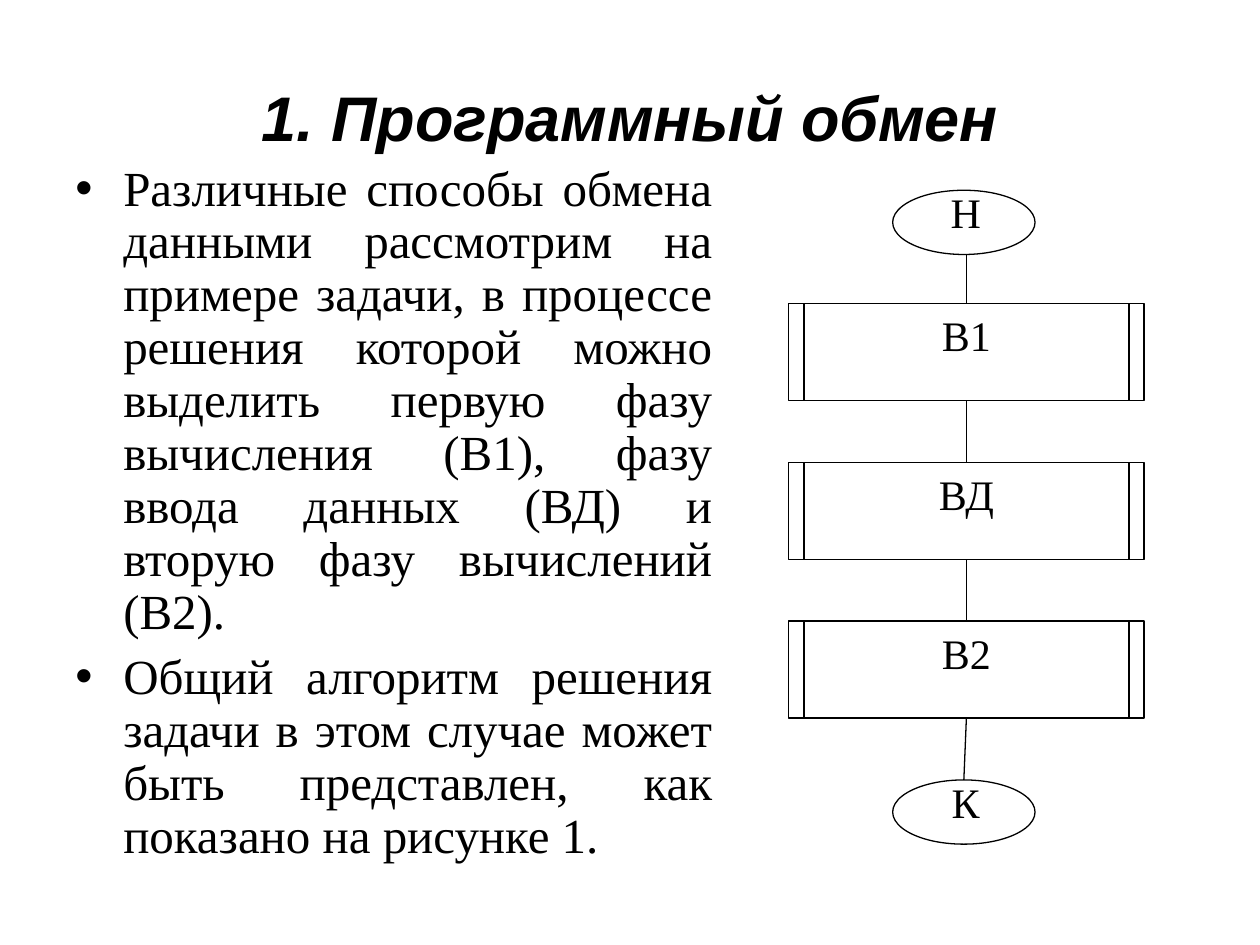
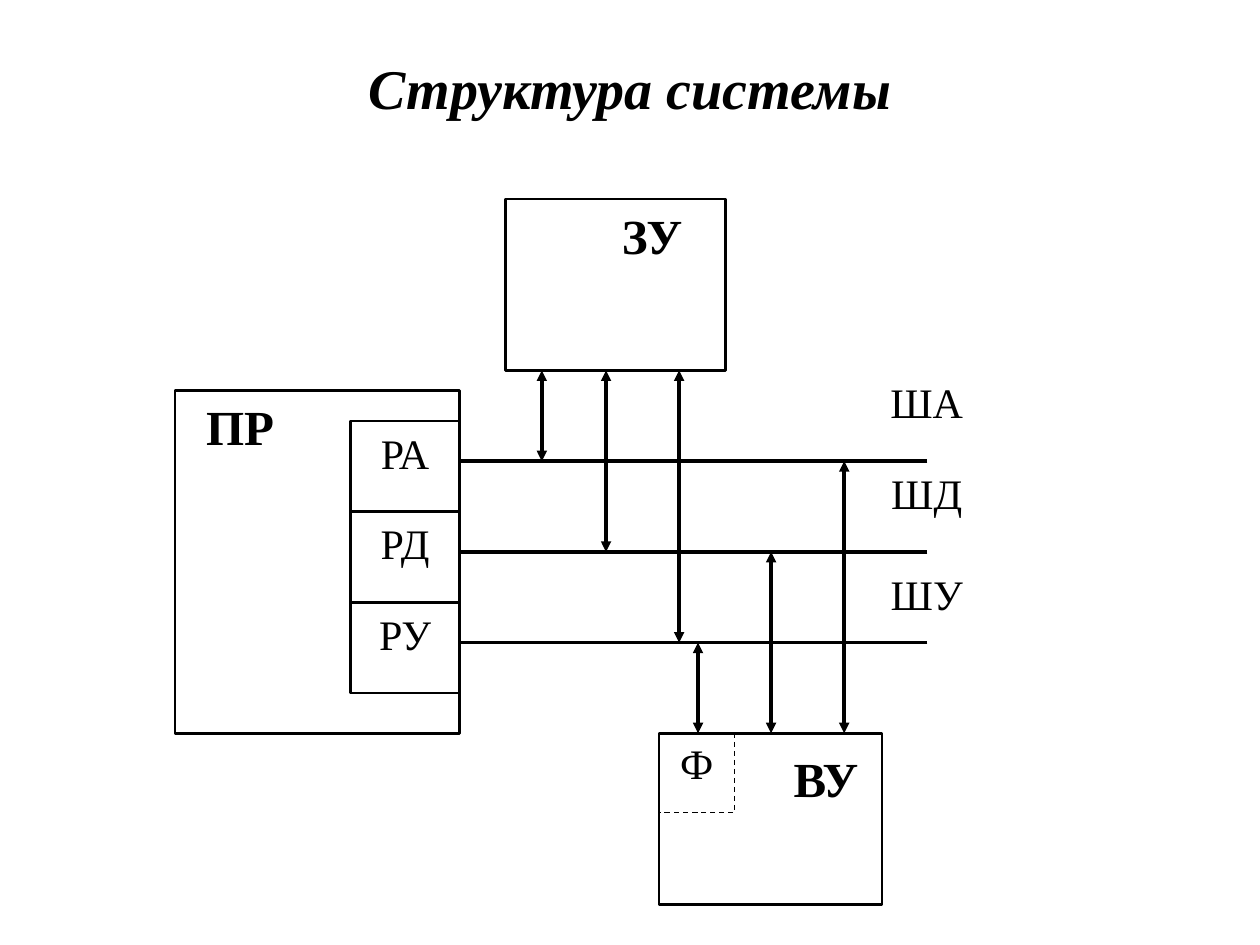
from dataclasses import dataclass
from lxml.etree import SubElement
from pptx import Presentation
from pptx.dml.color import RGBColor
from pptx.enum.dml import MSO_LINE_DASH_STYLE as Dash
from pptx.enum.shapes import MSO_CONNECTOR as Link, MSO_SHAPE as Shape
from pptx.enum.text import MSO_ANCHOR as Anchor, PP_ALIGN as Align
from pptx.oxml.ns import qn
from pptx.util import Inches, Pt


@dataclass(frozen=True)
class Theme:
    ink: RGBColor = RGBColor(0, 0, 0)
    paper: RGBColor = RGBColor(255, 255, 255)
    serif: str = "Times New Roman"
    sans: str = "Arial"
    title: int = 36
    subtitle: int = 32
    body: int = 28
    label: int = 24
    thin: float = 0.75
    frame: float = 1.5
    bus: float = 2


THEME = Theme()
WIDTH, HEIGHT = 10, 7.5

# Content: program exchange
EXCHANGE_TITLE = "1. Программный обмен"
EXCHANGE_POINTS = [
    "Различные способы обмена данными рассмотрим на примере задачи, в процессе "
    "решения которой можно выделить первую фазу вычисления (В1), фазу ввода "
    "данных (ВД) и вторую фазу вычислений (В2).",
    "Общий алгоритм решения задачи в этом случае может быть представлен, "
    "как показано на рисунке 1.",
]
START, PHASES, END = "Н", ["В1", "ВД", "В2"], "К"

# Content: system structure; links are (x, first row, last row) on the bus grid
STRUCTURE_TITLE = "Структура системы"
REGISTERS = ["РА", "РД", "РУ"]
BUSES = [("ША", 2.94), ("ШД", 3.66), ("ШУ", 4.46)]  # name, label top
MEMORY_ROW, DEVICE_ROW = -1, 3
LINKS = [
    (4.3, MEMORY_ROW, 0), (4.81, MEMORY_ROW, 1), (5.39, MEMORY_ROW, 2),
    (5.54, 2, DEVICE_ROW), (6.12, 1, DEVICE_ROW), (6.7, 0, DEVICE_ROW),
]

# Flowchart grid
AXIS, FLOW_TOP, FLOW_PITCH = 7.67, 2.41, 1.26
BLOCK_W, BLOCK_H, BAR_INSET = 2.82, 0.77, 0.12
OVAL_W, OVAL_H, START_TOP = 1.13, 0.51, 1.51

# Bus grid
BUS_TOP, BUS_PITCH, BUS_LEFT, BUS_RIGHT = 3.66, 0.72, 3.65, 7.36
REGISTER_W, REGISTER_RISE = 0.87, 0.32


def write(frame, text, size, font=THEME.serif, align=Align.CENTER,
          anchor=Anchor.TOP, bold=False, italic=False):
    frame.word_wrap = True
    frame.vertical_anchor = anchor
    paragraph = frame.paragraphs[0]
    if paragraph.runs:
        paragraph = frame.add_paragraph()
    paragraph.alignment = align
    run = paragraph.add_run()
    run.text = text
    run.font.name, run.font.size = font, Pt(size)
    run.font.bold, run.font.italic = bold, italic
    run.font.color.rgb = THEME.ink
    return paragraph


def label(slide, text, x, y, w, h, size=THEME.label, **style):
    box = slide.shapes.add_textbox(*map(Inches, (x, y, w, h)))
    write(box.text_frame, text, size, **style)


def outline(slide, x, y, w, h, weight, kind=Shape.RECTANGLE, text=None, dash=None):
    part = slide.shapes.add_shape(kind, *map(Inches, (x, y, w, h)))
    part.shadow.inherit = False
    part.fill.background()
    part.line.color.rgb = THEME.ink
    part.line.width = Pt(weight)
    if dash:
        part.line.dash_style = dash
    if text:
        write(part.text_frame, text, THEME.label)
    return part


def line(slide, x1, y1, x2, y2, weight, arrows=False):
    stroke = slide.shapes.add_connector(Link.STRAIGHT, *map(Inches, (x1, y1, x2, y2)))
    stroke.line.color.rgb = THEME.ink
    stroke.line.width = Pt(weight)
    if arrows:
        ln = stroke.line._get_or_add_ln()
        for end in ("a:headEnd", "a:tailEnd"):
            SubElement(ln, qn(end), type="triangle")
    SubElement(stroke._element.spPr, qn("a:effectLst"))
    return stroke


def new_slide(deck, title, height, size, font):
    slide = deck.slides.add_slide(deck.slide_layouts[6])
    slide.background.fill.solid()
    slide.background.fill.fore_color.rgb = THEME.paper
    label(slide, title, WIDTH * 0.05, HEIGHT * 0.04, WIDTH * 0.9, height, size,
          font=font, anchor=Anchor.MIDDLE, bold=True, italic=True)
    return slide


def add_points(slide):
    box = slide.shapes.add_textbox(*map(Inches, (WIDTH * 0.05, 1.25, 5.25, 5.92)))
    for point in EXCHANGE_POINTS:
        paragraph = write(box.text_frame, point, THEME.body, align=Align.JUSTIFY)
        paragraph.line_spacing = 0.9
        paragraph.space_before = Pt(7)
        props = paragraph._p.get_or_add_pPr()
        props.set("marL", str(Inches(0.38)))
        props.set("indent", str(-Inches(0.38)))
        SubElement(props, qn("a:buFont"), typeface=THEME.sans)
        SubElement(props, qn("a:buChar"), char="•")


def add_terminal(slide, text, top):
    oval = outline(slide, AXIS - OVAL_W / 2 - 0.02, top, OVAL_W, OVAL_H,
                   THEME.thin, Shape.OVAL)
    label(slide, text, AXIS - 0.76, top - 0.08, 1.51, 0.7)
    return oval


def add_flowchart(slide):
    left = AXIS - BLOCK_W / 2
    add_terminal(slide, START, START_TOP)
    blocks = []
    for row, phase in enumerate(PHASES):
        top = FLOW_TOP + row * FLOW_PITCH
        blocks.append(outline(slide, left, top, BLOCK_W, BLOCK_H, THEME.thin, text=phase))
        for bar in (left + BAR_INSET, left + BLOCK_W - BAR_INSET):
            line(slide, bar, top, bar, top + BLOCK_H, THEME.thin)
    end = add_terminal(slide, END, FLOW_TOP + len(PHASES) * FLOW_PITCH)

    # Stems down the axis
    first = line(slide, AXIS, START_TOP + OVAL_H, AXIS, FLOW_TOP, THEME.thin)
    first.end_connect(blocks[0], 0)
    for upper, lower in zip(blocks, blocks[1:] + [end]):
        stem = line(slide, AXIS, FLOW_TOP, AXIS, FLOW_TOP, THEME.thin)
        stem.begin_connect(upper, 2)
        stem.end_connect(lower, 0)


def bus_y(row):
    return BUS_TOP + row * BUS_PITCH


def add_structure(slide):
    # Processor, memory and device: frame, then name
    device_top, memory_h = bus_y(DEVICE_ROW), 1.36
    memory_top = bus_y(MEMORY_ROW) - memory_h
    units = [
        ("ПР", (1.39, 3.1, 2.26, device_top - 3.1), (1.25, 3.1)),
        ("ЗУ", (4.01, memory_top, 1.75, memory_h), (4.52, memory_top)),
        ("ВУ", (5.23, device_top, 1.77, memory_h), (5.9, 5.89)),
    ]
    for name, frame, name_at in units:
        outline(slide, *frame, THEME.frame)
        label(slide, name, *name_at, 1.31, 0.88, THEME.body, bold=True)

    # Registers with their buses
    for row, (register, (bus, label_top)) in enumerate(zip(REGISTERS, BUSES)):
        y = bus_y(row)
        outline(slide, BUS_LEFT - REGISTER_W, y - REGISTER_RISE, REGISTER_W,
                BUS_PITCH, THEME.frame, text=register)
        line(slide, BUS_RIGHT, y, BUS_LEFT, y, THEME.bus)
        label(slide, bus, 6.7, label_top, 1.31, 0.65)

    # Two-way links
    for x, first, last in LINKS:
        line(slide, x, bus_y(first), x, bus_y(last), THEME.bus, arrows=True)

    # Flag inside the device
    outline(slide, 5.23, 5.83, 0.6, 0.62, THEME.thin, dash=Dash.DASH)
    label(slide, "Ф", 5.08, 5.8, 0.9, 0.65)


def main():
    deck = Presentation()
    deck.slide_width, deck.slide_height = Inches(WIDTH), Inches(HEIGHT)
    exchange = new_slide(deck, EXCHANGE_TITLE, 1.25, THEME.title, THEME.sans)
    add_points(exchange)
    add_flowchart(exchange)
    add_structure(new_slide(deck, STRUCTURE_TITLE, 0.78, THEME.subtitle, THEME.serif))
    deck.save("out.pptx")


if __name__ == "__main__":
    main()
